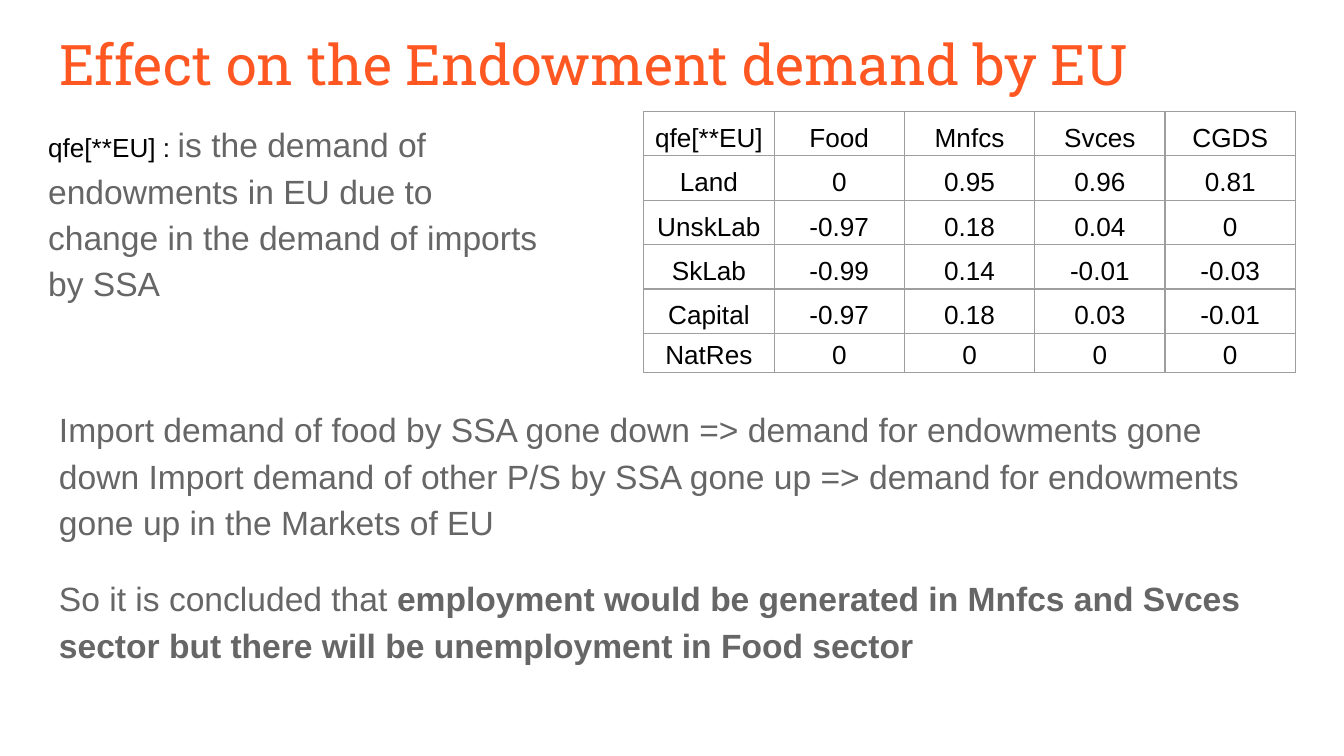
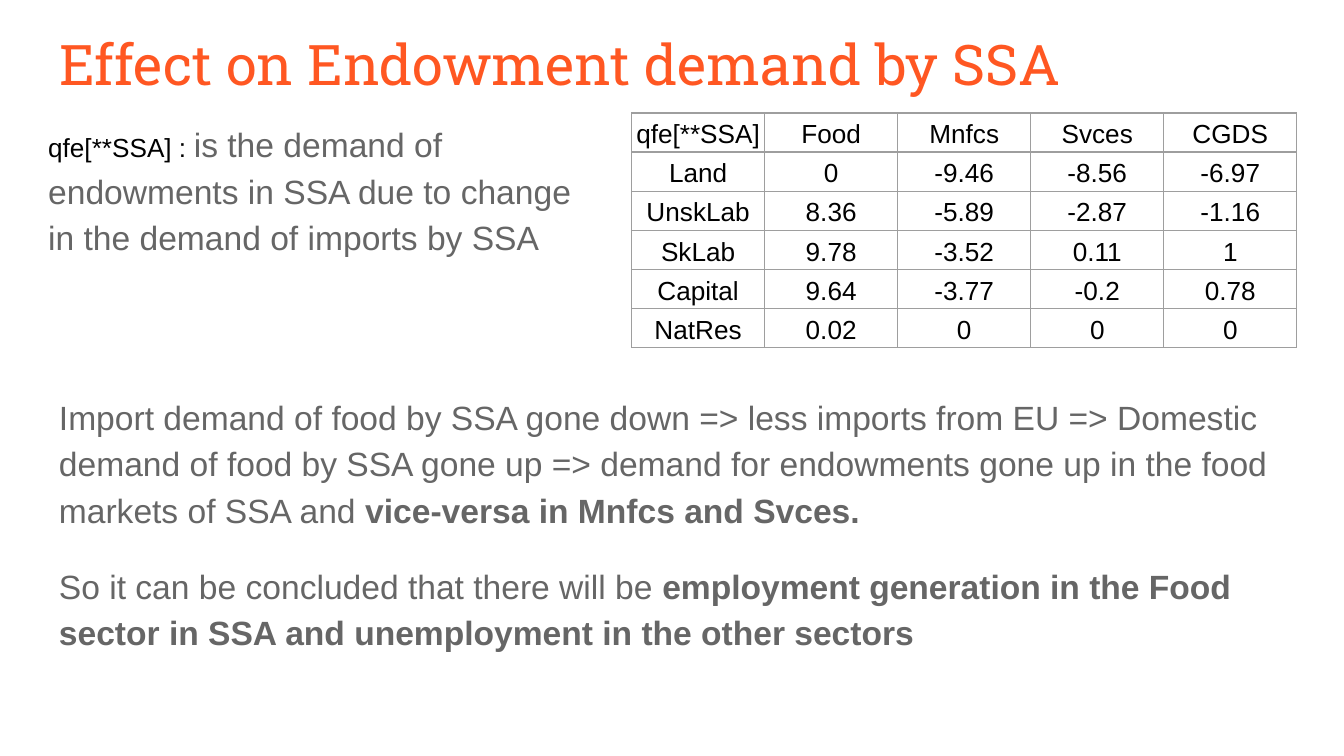
from dataclasses import dataclass

from lxml.etree import SubElement
from pptx import Presentation
from pptx.dml.color import RGBColor
from pptx.enum.text import MSO_ANCHOR, MSO_AUTO_SIZE, PP_ALIGN
from pptx.oxml.ns import qn
from pptx.util import Inches, Pt


@dataclass(frozen=True)
class Theme:
    accent: str = "FF5722"
    body: str = "666666"
    ink: str = "000000"
    grid: str = "9E9E9E"
    title_font: str = "Roboto Slab"
    body_font: str = "Arial"
    title_size: int = 30
    body_size: int = 18
    small_size: int = 14
    line_spacing: float = 1.15
    paragraph_gap: int = 16
    grid_width: float = 0.75


THEME = Theme()
SECTORS = ["Food", "Mnfcs", "Svces", "CGDS"]


# Text
def add_span(para, text, *, size=THEME.body_size, color=THEME.body,
             font=THEME.body_font, bold=False):
    span = para.add_run()
    span.text = text
    span.font.size = Pt(size)
    span.font.name = font
    span.font.bold = bold
    span.font.color.rgb = RGBColor.from_string(color)


def format_paragraph(para, *, align=PP_ALIGN.LEFT, spacing=THEME.line_spacing,
                     before=0, after=0):
    para.alignment = align
    para.line_spacing = spacing
    para.space_before = Pt(before)
    para.space_after = Pt(after)


def place_frame(box, left, top, width, height):
    box.left, box.top = Inches(left), Inches(top)
    box.width, box.height = Inches(width), Inches(height)
    frame = box.text_frame
    frame.word_wrap = True
    frame.auto_size = MSO_AUTO_SIZE.NONE
    frame.vertical_anchor = MSO_ANCHOR.TOP
    frame.margin_left = frame.margin_right = Inches(0.1)
    frame.margin_top = frame.margin_bottom = Inches(0.1)
    return frame


def add_text_box(page, left, top, width, height):
    box = page.shapes.add_textbox(0, 0, 0, 0)
    return place_frame(box, left, top, width, height)


# Slide parts
def add_title_page(deck, title):
    page = deck.slides.add_slide(deck.slide_layouts.get_by_name("Title Only"))
    para = place_frame(page.shapes.title, 0.34, 0.12, 9.32, 0.63).paragraphs[0]
    format_paragraph(para, spacing=1.0)
    add_span(para, title, size=THEME.title_size, color=THEME.accent,
             font=THEME.title_font)
    return page


def add_definition(page, variable, meaning, width, height):
    para = add_text_box(page, 0.26, 0.78, width, height).paragraphs[0]
    format_paragraph(para, after=THEME.paragraph_gap)
    add_span(para, f"{variable} : ", size=THEME.small_size, color=THEME.ink)
    add_span(para, meaning)


def add_findings(page, top, height, observation, conclusion):
    """Each paragraph is a list of (text, bold) pairs."""
    frame = add_text_box(page, 0.34, top, 9.32, height)
    gap = THEME.paragraph_gap
    first, second = frame.paragraphs[0], frame.add_paragraph()
    format_paragraph(first)
    format_paragraph(second, before=gap, after=gap)
    for para, parts in ((first, observation), (second, conclusion)):
        for text, bold in parts:
            add_span(para, text, bold=bold)


# Table
def draw_borders(cell):
    properties = cell._tc.get_or_add_tcPr()
    for side in ("a:lnL", "a:lnR", "a:lnT", "a:lnB"):
        line = SubElement(properties, qn(side), w=str(Pt(THEME.grid_width)))
        fill = SubElement(line, qn("a:solidFill"))
        SubElement(fill, qn("a:srgbClr"), val=THEME.grid)


def fill_cell(cell, text):
    draw_borders(cell)
    cell.fill.background()
    cell.vertical_anchor = MSO_ANCHOR.BOTTOM
    cell.margin_left = cell.margin_right = Inches(0.03)
    cell.margin_top = cell.margin_bottom = Inches(0.02)
    para = cell.text_frame.paragraphs[0]
    format_paragraph(para, align=PP_ALIGN.CENTER)
    add_span(para, text, size=THEME.small_size, color=THEME.ink)


def add_demand_table(page, variable, demand, left, top, column_width, row_heights):
    rows = [[variable, *SECTORS]]
    rows += [[endowment, *values] for endowment, values in demand.items()]
    columns = len(rows[0])
    table = page.shapes.add_table(
        len(rows), columns, Inches(left), Inches(top),
        Inches(column_width * columns), Inches(sum(row_heights))).table
    table.first_row = table.horz_banding = False
    for column in table.columns:
        column.width = Inches(column_width)
    for row, height, values in zip(table.rows, row_heights, rows):
        row.height = Inches(height)
        for cell, value in zip(row.cells, values):
            fill_cell(cell, str(value))


# Slides
def build_eu_page(deck):
    page = add_title_page(deck, "Effect on the Endowment demand by EU")
    add_definition(
        page, "qfe[**EU]",
        "is the demand of endowments in EU due to change in the demand of "
        "imports by SSA", 3.87, 1.92)
    demand = {
        "Land": (0, 0.95, 0.96, 0.81),
        "UnskLab": (-0.97, 0.18, 0.04, 0),
        "SkLab": (-0.99, 0.14, -0.01, -0.03),
        "Capital": (-0.97, 0.18, 0.03, -0.01),
        "NatRes": (0, 0, 0, 0),
    }
    add_demand_table(page, "qfe[**EU]", demand, 4.79, 0.83, 0.97,
                     [0.33] * 5 + [0.25])
    add_findings(
        page, 2.9, 2.49,
        [("Import demand of food by SSA gone down => demand for endowments "
          "gone down Import demand of other P/S by SSA gone up => demand for "
          "endowments gone up in the Markets of EU", False)],
        [("So it is concluded that ", False),
         ("employment would be generated in Mnfcs and Svces sector but there "
          "will be unemployment in Food sector", True)])


def build_ssa_page(deck):
    page = add_title_page(deck, "Effect on Endowment demand by SSA")
    add_definition(
        page, "qfe[**SSA]",
        "is the demand of endowments in SSA due to change in the demand of "
        "imports by SSA", 4.12, 1.4)
    demand = {
        "Land": (0, -9.46, -8.56, -6.97),
        "UnskLab": (8.36, -5.89, -2.87, -1.16),
        "SkLab": (9.78, -3.52, 0.11, 1),
        "Capital": (9.64, -3.77, -0.2, 0.78),
        "NatRes": (0.02, 0, 0, 0),
    }
    add_demand_table(page, "qfe[**SSA]", demand, 4.7, 0.84, 0.99, [0.27] * 6)
    add_findings(
        page, 2.81, 2.37,
        [("Import demand of food by SSA gone down => less imports from EU => "
          "Domestic demand of food by SSA gone up => demand for endowments "
          "gone up in the food markets of SSA and", False),
         (" vice-versa in Mnfcs and Svces.", True)],
        [("So it can be concluded that there will be ", False),
         ("employment generation in the Food sector in SSA and unemployment "
          "in the other sectors", True)])


def main():
    deck = Presentation()
    # Widescreen, 16:9
    deck.slide_width = Inches(10)
    deck.slide_height = deck.slide_width * 9 // 16
    build_eu_page(deck)
    build_ssa_page(deck)
    deck.save("out.pptx")


if __name__ == "__main__":
    main()
